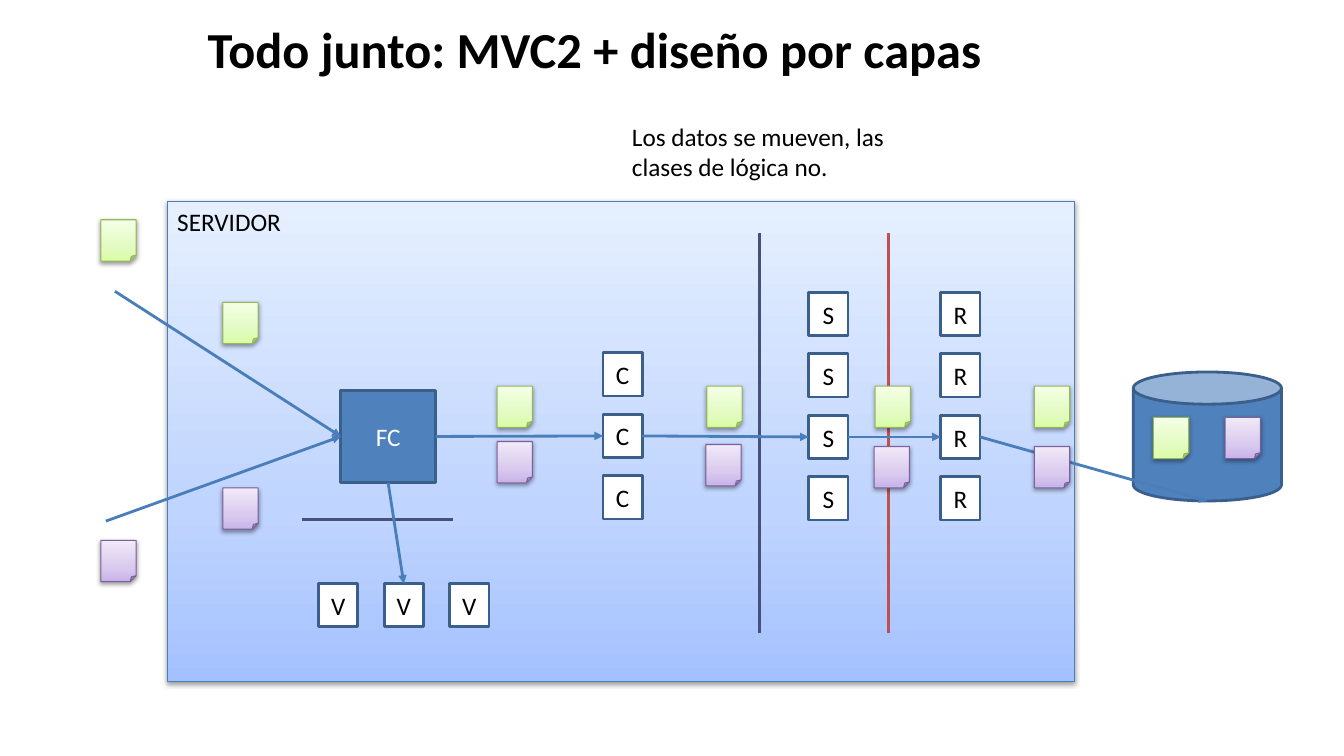
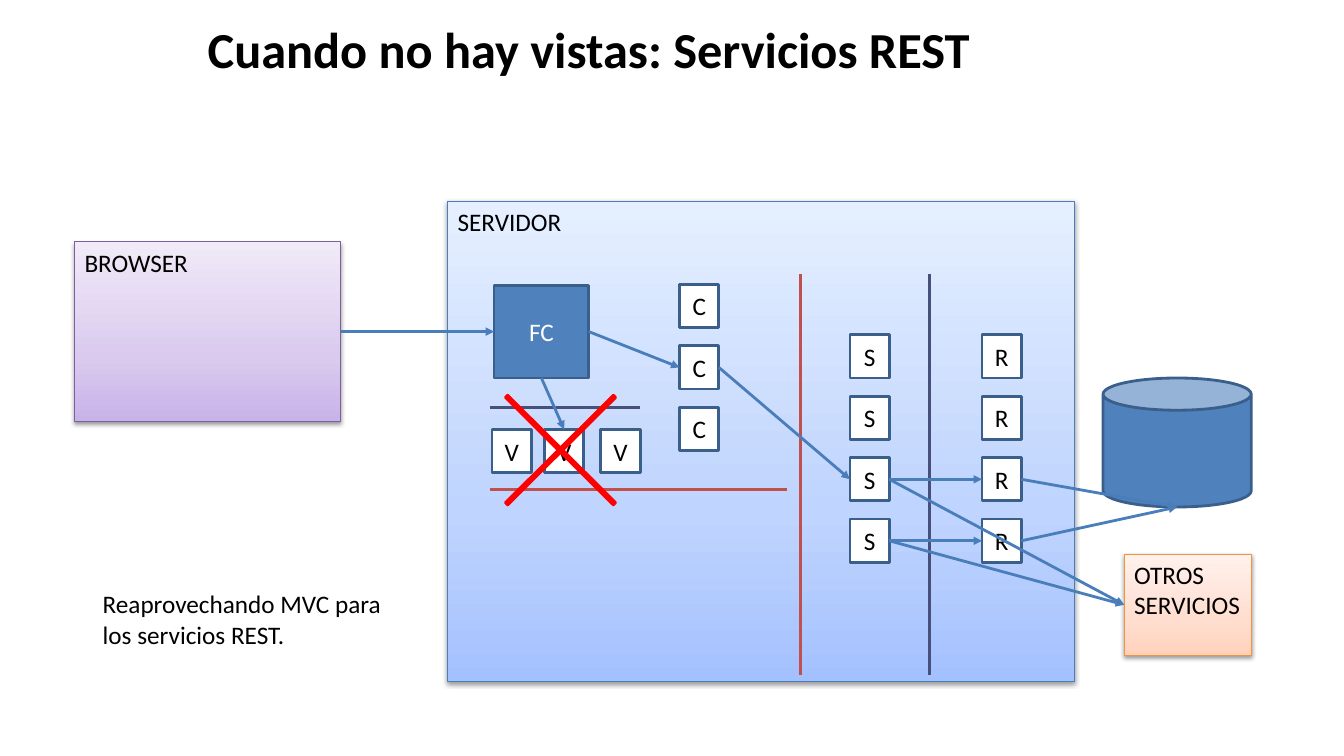
"""Two diagrams of a layered MVC server, drawn from node, link and divider lists."""
from copy import deepcopy

from lxml.etree import SubElement
from pptx import Presentation
from pptx.dml.color import RGBColor
from pptx.enum.shapes import MSO_CONNECTOR, MSO_SHAPE as Kind
from pptx.enum.text import MSO_ANCHOR as Anchor, PP_ALIGN as Align
from pptx.oxml.ns import qn
from pptx.util import Inches, Pt

FONT = "Calibri"
COLORS = {
    "black": "000000", "white": "FFFFFF", "blue": "4F81BD", "navy": "3A5F8B",
    "arrow": "4A7EBB", "red": "C0504D", "slate": "46507A", "cross": "FF0000",
}
GRADIENTS = {
    "sky": (("A4C1FF", "BFD4FE", "E5EFFF"), "4A7EBB"),
    "violet": (("C8B3E9", "D9CAEE", "F1EAF8"), "7D5FA0"),
    "lime": (("D9FDA6", "E3FBC2", "F4FFE6"), "98B855"),
    "peach": (("FFD2BC", "FFDED0", "FFF1EC"), "F59240"),
}
STOPS = (0, 0.35, 1)
CELL = (0.39, 0.43)
STEP = 0.61
CONTROLLER = (0.94, 0.92)
DATABASE = (1.47, 1.28)
SHEET = (0.35, 0.41)
TITLE = (2.06, 0.18, 9.94, 0.61)


def column(x, top, count):
    """Return the corners of a vertical stack of cells."""
    return [(x, top + row * STEP) for row in range(count)]


SLIDES = [
    {
        "title": "Todo junto: MVC2 + diseño por capas",
        "panels": [("SERVIDOR", "sky", (1.66, 2, 9, 4.76))],
        "dividers": [("slate", (7.53, 2.31), (7.53, 6.28)),
                     ("red", (8.81, 2.31), (8.81, 6.28)),
                     ("slate", (3, 5.15), (4.49, 5.15))],
        "controller": (3.38, 3.87),
        "database": (11.24, 3.69),
        "cells": {"C": column(5.98, 3.5, 3), "S": column(8.02, 2.9, 4),
                  "R": column(9.33, 2.9, 4),
                  "V": [(3.16 + 0.65 * i, 5.79) for i in range(3)]},
        "links": [((1.14, 2.89), "FC left"), ((1.05, 5.17), "FC left"),
                  ("FC right", "C2 left"), ("C2 right", "S3 left"),
                  ("S3 right", "R3 left"), ("FC bottom", "V2 top"),
                  ("R3 right", "DB bottom")],
        "sheets": {"lime": [(1, 2.18), (2.21, 3), (4.93, 3.83), (7.01, 3.83),
                            (8.68, 3.83), (10.26, 3.83), (11.44, 4.14)],
                   "violet": [(1, 5.36), (2.21, 4.84), (4.93, 4.38), (7, 4.41),
                              (8.67, 4.43), (10.26, 4.43), (12.15, 4.14)]},
        "note": ("Los datos se mueven, las clases de lógica no.", (6.17, 1.15, 3, 1)),
    },
    {
        "title": "Cuando no hay vistas: Servicios REST",
        "panels": [("SERVIDOR", "sky", (4.44, 2, 6.22, 4.76)),
                   ("BROWSER", "violet", (0.74, 2.4, 2.64, 1.78)),
                   ("OTROS\nSERVICIOS", "peach", (11.15, 5.5, 1.26, 1))],
        "dividers": [("red", (7.94, 2.72), (7.94, 6.7)),
                     ("slate", (9.22, 2.72), (9.22, 6.7)),
                     ("red", (4.86, 4.86), (7.81, 4.86)),
                     ("slate", (4.86, 4.04), (6.35, 4.04))],
        "controller": (4.9, 2.83),
        "database": (10.94, 3.75),
        "cells": {"C": column(6.74, 2.82, 3), "S": column(8.43, 3.32, 4),
                  "R": column(9.74, 3.32, 4),
                  "V": [(4.88, 4.26), (5.4, 4.26), (5.96, 4.26)]},
        "links": [("BROWSER right", "FC left"), ("FC right", "C2 left"),
                  ("C2 right", "S3 left"), ("S3 right", "R3 left"),
                  ("R3 right", "DB bottom"), ("FC bottom", "V2 top"),
                  ("S4 right", "R4 left"), ("R4 right", "DB bottom"),
                  ("S4 right", "OTROS left"), ("S3 right", "OTROS left")],
        "sheets": {},
        "cross": (4.53, 3.44, 2.06, 2.05),
        "note": ("Reaprovechando MVC para los servicios REST.", (0.92, 5.79, 3.19, 0.7)),
    },
]


def rgb(name):
    return RGBColor.from_string(COLORS.get(name, name))


def write(shape, text, color="black", size=18, bold=False, centered=False, margins=(0.1, 0.05)):
    frame = shape.text_frame
    frame.word_wrap = True
    frame.margin_left = frame.margin_right = Inches(margins[0])
    frame.margin_top = frame.margin_bottom = Inches(margins[1])
    frame.vertical_anchor = Anchor.MIDDLE if centered else Anchor.TOP
    frame.text = text
    for para in frame.paragraphs:
        para.alignment = Align.CENTER if centered else Align.LEFT
        para.font.name, para.font.size, para.font.bold = FONT, Pt(size), bold
        para.font.color.rgb = rgb(color)


def add_text(page, text, box, **style):
    write(page.shapes.add_textbox(*map(Inches, box)), text, **style)


def add_solid(page, kind, box, fill, line="navy"):
    shape = page.shapes.add_shape(kind, *map(Inches, box))
    shape.shadow.inherit = False
    shape.fill.solid()
    shape.fill.fore_color.rgb = rgb(fill)
    shape.line.color.rgb = rgb(line)
    shape.line.width = Pt(2)
    return shape


def add_gradient(page, kind, box, gradient):
    colors, line = GRADIENTS[gradient]
    shape = add_solid(page, kind, box, "white", line)
    shape.line.width = Pt(0.75)
    shape.fill.gradient()
    shape.fill.gradient_angle = 90
    properties = shape.element.spPr
    stops = properties.find(".//" + qn("a:gsLst"))
    stops.insert(1, deepcopy(stops[0]))
    for stop, position, color in zip(shape.fill.gradient_stops, STOPS, colors):
        stop.position = position
        stop.color.rgb = rgb(color)
    shadow = SubElement(properties.find(qn("a:effectLst")), qn("a:outerShdw"),
                        blurRad="40000", dist="20000", dir="5400000", rotWithShape="0")
    tint = SubElement(shadow, qn("a:srgbClr"), val=COLORS["black"])
    SubElement(tint, qn("a:alpha"), val="38000")
    return shape


def add_line(page, start, end, color, arrow=False):
    line = page.shapes.add_connector(MSO_CONNECTOR.STRAIGHT, *map(Inches, (*start, *end)))
    line.line.color.rgb = rgb(color)
    line.line.width = 0
    properties = line.element.spPr
    SubElement(properties, qn("a:effectLst"))
    if arrow:
        SubElement(properties.find(qn("a:ln")), qn("a:tailEnd"), type="triangle")


def locate(end, nodes):
    """Turn "node side" into the middle of that side; leave points as they are."""
    if not isinstance(end, str):
        return end
    name, side = end.split()
    left, top, width, height = nodes[name]
    return {"left": (left, top + height / 2), "right": (left + width, top + height / 2),
            "top": (left + width / 2, top), "bottom": (left + width / 2, top + height)}[side]


def draw(page, content):
    nodes = {}
    add_text(page, content["title"], TITLE, size=36, bold=True, margins=(0, 0))
    for text, gradient, box in content["panels"]:
        write(add_gradient(page, Kind.RECTANGLE, box, gradient), text)
        nodes[text.split()[0]] = box
    for color, start, end in content["dividers"]:
        add_line(page, start, end, color)

    nodes["FC"] = (*content["controller"], *CONTROLLER)
    write(add_solid(page, Kind.RECTANGLE, nodes["FC"], "blue"), "FC", "white", centered=True)
    nodes["DB"] = (*content["database"], *DATABASE)
    add_solid(page, Kind.CAN, nodes["DB"], "blue")
    for letter, corners in content["cells"].items():
        for number, corner in enumerate(corners, 1):
            box = nodes[f"{letter}{number}"] = (*corner, *CELL)
            write(add_solid(page, Kind.RECTANGLE, box, "white"), letter, centered=True)

    for start, end in content["links"]:
        add_line(page, locate(start, nodes), locate(end, nodes), "arrow", arrow=True)
    for gradient, corners in content["sheets"].items():
        for corner in corners:
            add_gradient(page, Kind.FOLDED_CORNER, (*corner, *SHEET), gradient)
    if "cross" in content:
        cross = add_solid(page, Kind.MATH_MULTIPLY, content["cross"], "cross", "cross")
        cross.adjustments[0] = 0.015
    add_text(page, *content["note"])


def main():
    deck = Presentation()
    deck.slide_width, deck.slide_height = Inches(13.33), Inches(7.5)
    for content in SLIDES:
        draw(deck.slides.add_slide(deck.slide_layouts[6]), content)
    deck.save("out.pptx")


if __name__ == "__main__":
    main()
